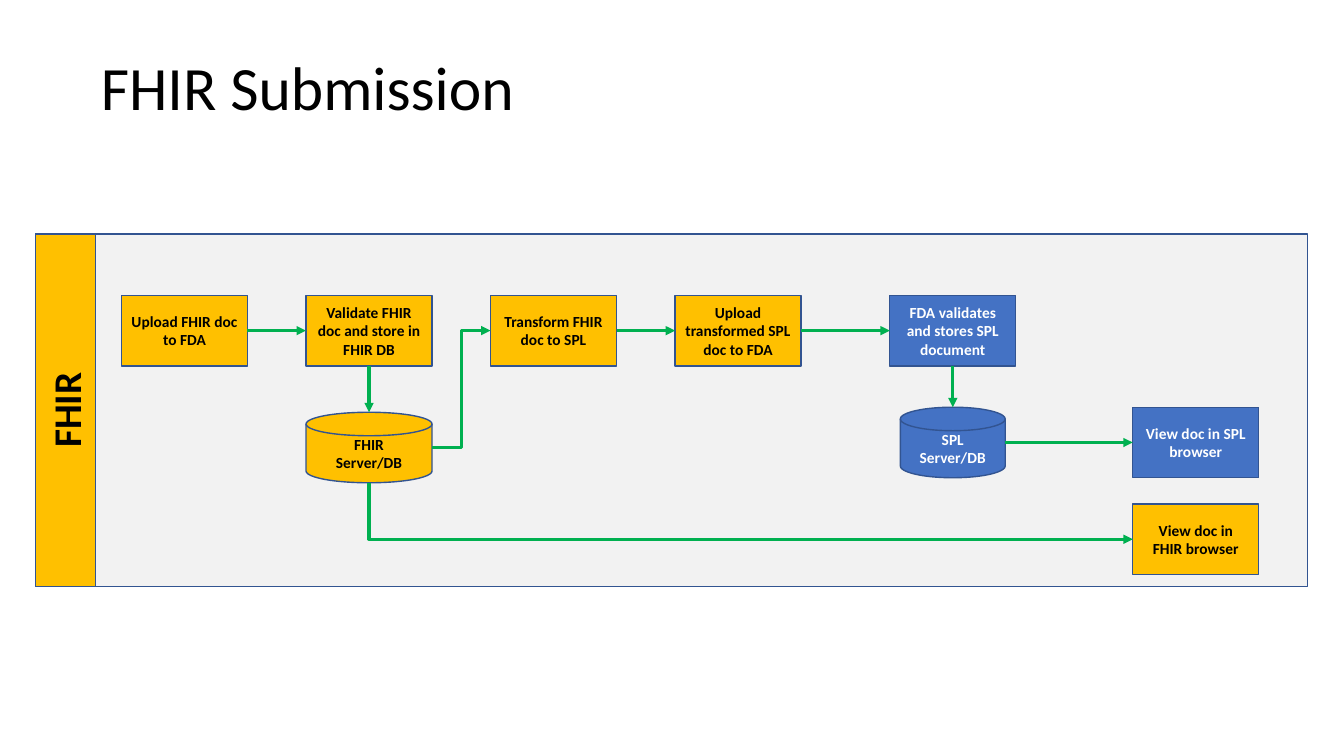
from lxml import etree
from pptx import Presentation
from pptx.dml.color import RGBColor as RGB
from pptx.enum.shapes import MSO_CONNECTOR as Link, MSO_SHAPE as Shape
from pptx.enum.text import MSO_ANCHOR as Anchor, PP_ALIGN as Align
from pptx.oxml.ns import qn
from pptx.util import Inches, Pt

GOLD = RGB(0xFF, 0xC0, 0x00)
BLUE = RGB(0x44, 0x72, 0xC4)
GREY = RGB(0xF2, 0xF2, 0xF2)
EDGE = RGB(0x32, 0x54, 0x91)
GREEN = RGB(0x00, 0xB0, 0x50)
BLACK = RGB(0, 0, 0)
WHITE = RGB(0xFF, 0xFF, 0xFF)
FONT = "Calibri"

# Content: key, text, column, row, fill
STEPS = [
    ("upload", "Upload FHIR doc to FDA", 0, "steps", GOLD),
    ("check", "Validate FHIR doc and store in FHIR DB", 1, "steps", GOLD),
    ("change", "Transform FHIR doc to SPL", 2, "steps", GOLD),
    ("resend", "Upload transformed SPL doc to FDA", 3, "steps", GOLD),
    ("accept", "FDA validates and stores SPL document", 4, "steps", BLUE),
    ("splview", "View doc in SPL browser", 5, "spl", BLUE),
    ("fhirview", "View doc in FHIR browser", 5, "view", GOLD),
]
# Key, text, column, row, fill, width
STORES = [
    ("fhirdb", "FHIR\nServer/DB", 1, "fhir", GOLD, 1.25),
    ("spldb", "SPL Server/DB", 4, "spl", BLUE, 1.04),
]
# From, side, to, side, route
FLOWS = [
    ("upload", "right", "check", "left", "line"),
    ("check", "bottom", "fhirdb", "top", "line"),
    ("fhirdb", "right", "change", "left", "step"),
    ("change", "right", "resend", "left", "line"),
    ("resend", "right", "accept", "left", "line"),
    ("accept", "bottom", "spldb", "top", "line"),
    ("spldb", "right", "splview", "left", "line"),
    ("fhirdb", "bottom", "fhirview", "left", "corner"),
]

# Grid: column centres and row tops
COLS = [1.83 + 1.83 * i for i in range(4)] + [9.45, 11.86]
ROWS = {"steps": 2.93, "spl": 4.04, "fhir": 4.09, "view": 5.0}
BOX_W, BOX_H = 1.25, 0.7
LANE_X, LANE_Y, LANE_W, LANE_H, HEAD_W = 0.35, 2.32, 12.62, 3.5, 0.6
SIDES = {"left": (0, 0.5), "right": (1, 0.5), "top": (0.5, 0), "bottom": (0.5, 1)}

deck = Presentation()
deck.slide_width, deck.slide_height = Inches(13.33), Inches(7.5)
slide = deck.slides.add_slide(deck.slide_layouts[5])
spots = {}


def add_box(kind, x, y, w, h, fill, text="", size=11):
    box = slide.shapes.add_shape(kind, Inches(x), Inches(y), Inches(w), Inches(h))
    box.shadow.inherit = False
    box.fill.solid()
    box.fill.fore_color.rgb = fill
    box.line.color.rgb = EDGE
    box.line.width = Pt(1)
    frame = box.text_frame
    frame.word_wrap = True
    frame.vertical_anchor = Anchor.MIDDLE
    frame.text = text
    for para in frame.paragraphs:
        para.alignment = Align.CENTER
        font = para.font
        font.name, font.size, font.bold = FONT, Pt(size), True
        font.color.rgb = WHITE if fill == BLUE else BLACK
    return box


def add_node(kind, key, text, col, row, fill, width):
    spot = (COLS[col] - width / 2, ROWS[row], width, BOX_H)
    add_box(kind, *spot, fill, text)
    spots[key] = spot


def port(key, side):
    x, y, w, h = spots[key]
    across, down = SIDES[side]
    return x + w * across, y + h * down


def add_flow(start, out, goal, into, route):
    (x1, y1), (x2, y2) = port(start, out), port(goal, into)
    if route == "corner":  # a quarter turn swaps width and height
        mx, my, dx, dy = (x1 + x2) / 2, (y1 + y2) / 2, (x2 - x1) / 2, (y2 - y1) / 2
        x1, y1, x2, y2 = mx + dy, my - dx, mx - dy, my + dx
    kind = Link.STRAIGHT if route == "line" else Link.ELBOW
    ends = [Inches(v) for v in (x1, y1, x2, y2)]
    flow = slide.shapes.add_connector(kind, *ends)
    flow.line.color.rgb = GREEN
    flow.line.width = Pt(2.25)
    props = flow._element.spPr
    if route == "corner":
        props.find(qn("a:xfrm")).set("rot", str(270 * 60000))
        props.find(qn("a:prstGeom")).set("prst", "bentConnector2")
    etree.SubElement(props.find(qn("a:ln")), qn("a:tailEnd"), type="triangle")
    etree.SubElement(props, qn("a:effectLst"))


# Title
title = slide.shapes.title
title.left, title.top = Inches(0.9), Inches(0.17)
title.width, title.height = Inches(11.5), Inches(1.45)
title.text_frame.text = "FHIR Submission"
title.text_frame.vertical_anchor = Anchor.MIDDLE
head = title.text_frame.paragraphs[0]
head.alignment, head.line_spacing = Align.LEFT, 0.9
head.font.name, head.font.size = FONT, Pt(44)
head.font.color.rgb = BLACK

# Lane with its upright heading
add_box(Shape.RECTANGLE, LANE_X, LANE_Y, LANE_W, LANE_H, GREY)
label = add_box(Shape.RECTANGLE, LANE_X + (HEAD_W - LANE_H) / 2,
                LANE_Y + (LANE_H - HEAD_W) / 2, LANE_H, HEAD_W, GOLD, "FHIR", 28)
label.rotation = 270

# Steps, stores and the arrows between them
for step in STEPS:
    add_node(Shape.RECTANGLE, *step, BOX_W)
for store in STORES:
    add_node(Shape.FLOWCHART_MAGNETIC_DISK, *store)
for flow in FLOWS:
    add_flow(*flow)

deck.save("out.pptx")
